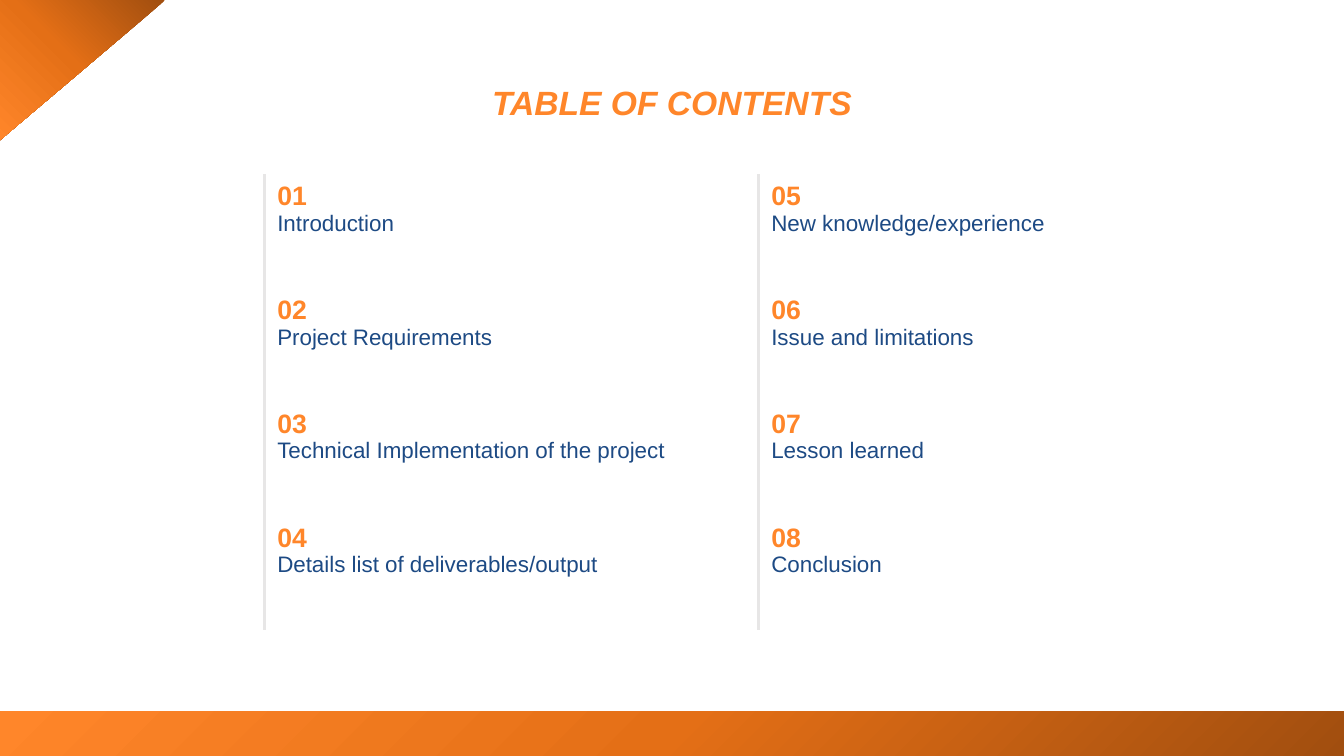
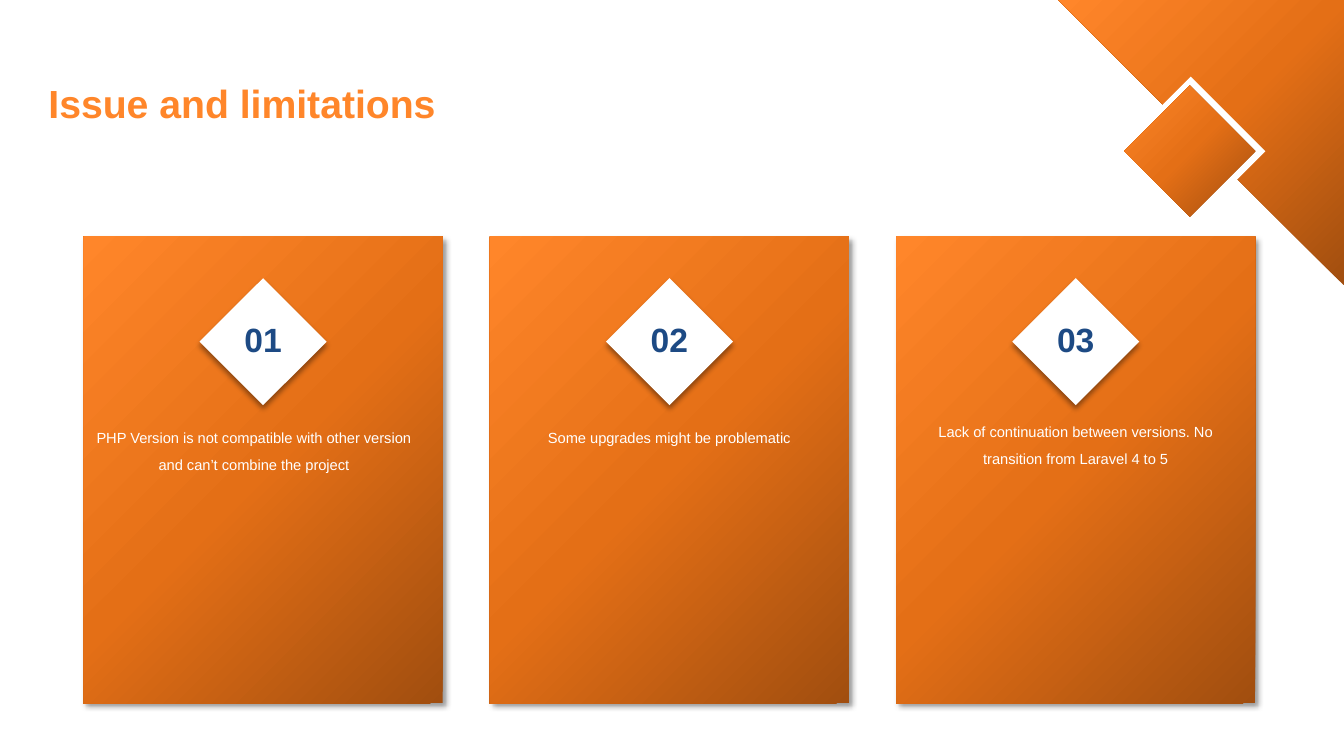
from dataclasses import dataclass
from typing import Optional, Sequence

from lxml import etree
from pptx import Presentation
from pptx.dml.color import RGBColor
from pptx.enum.shapes import MSO_SHAPE
from pptx.enum.text import MSO_ANCHOR, MSO_AUTO_SIZE, PP_ALIGN
from pptx.oxml.ns import qn
from pptx.util import Inches, Pt

RECTANGLE, DIAMOND = MSO_SHAPE.RECTANGLE, MSO_SHAPE.DIAMOND
LEFT, CENTER = PP_ALIGN.LEFT, PP_ALIGN.CENTER
MIDDLE = MSO_ANCHOR.MIDDLE
NO_AUTOFIT = MSO_AUTO_SIZE.NONE
TITLE_ONLY = 5
PLAIN_TABLE_STYLE = "{2D5ABB26-0587-4C30-8999-92F81FD0307C}"


@dataclass(frozen=True)
class Theme:
    font: str = "Arial"
    orange: str = "FF862A"
    navy: str = "1D4A84"
    white: str = "FFFFFF"
    rule: str = "E7E6E6"
    shadow: str = "000000"
    gradient: tuple = ((0, "A14E0F"), (50, "E46F16"), (100, "FF862A"))
    to_top_left: int = 135
    to_bottom_left: int = 225
    contents_title_size: float = 24
    title_size: float = 28
    badge_size: float = 24
    entry_number_size: float = 19
    entry_size: float = 16
    body_size: float = 10.5


@dataclass(frozen=True)
class Box:
    left: float
    top: float
    width: float
    height: float

    def lengths(self) -> tuple:
        return tuple(Inches(value) for value in (self.left, self.top, self.width, self.height))


@dataclass(frozen=True)
class Issue:
    text: str
    body_left: float
    body_top: float


THEME = Theme()
SLIDE_WIDTH, SLIDE_HEIGHT = 13.33, 7.5

CONTENTS = (
    ("Introduction", "New knowledge/experience"),
    ("Project Requirements", "Issue and limitations"),
    ("Technical Implementation of the project", "Lesson learned"),
    ("Details list of deliverables/output", "Conclusion"),
)

ISSUES = (
    Issue("PHP Version is not compatible with other version and can’t combine the project", 0.85, 4.12),
    Issue("Some upgrades might be problematic", 4.97, 4.12),
    Issue("Lack of continuation between versions. No transition from Laravel 4 to 5", 9, 4.06),
)


def style_paragraph(paragraph, size: float, color: str, bold: bool = False, italic: bool = False,
                    alignment=LEFT, line_spacing: Optional[float] = None) -> None:
    paragraph.alignment = alignment
    if line_spacing:
        paragraph.line_spacing = line_spacing
    font = paragraph.font
    font.name, font.size = THEME.font, Pt(size)
    font.bold, font.italic = bold, italic
    font.color.rgb = RGBColor.from_string(color)


def add_color(parent, color: str):
    return etree.SubElement(parent, qn("a:srgbClr"), val=color)


def fill_shape(shape, color: Optional[str] = None, angle: int = THEME.to_top_left) -> None:
    """Fill with one colour, or with the theme gradient when none is given."""
    shape.shadow.inherit = False
    shape.line.fill.background()
    if color:
        shape.fill.solid()
        shape.fill.fore_color.rgb = RGBColor.from_string(color)
        return
    shape.fill.gradient()
    shape.fill.gradient_angle = angle
    stops = shape._element.spPr.find(".//" + qn("a:gsLst"))
    for stop in list(stops):
        stops.remove(stop)
    for position, stop_color in THEME.gradient:
        add_color(etree.SubElement(stops, qn("a:gs"), pos=str(position * 1000)), stop_color)


def add_shadow(shape, direction: int) -> None:
    effects = shape._element.spPr.find(qn("a:effectLst"))
    shadow = etree.SubElement(effects, qn("a:outerShdw"), blurRad=str(Pt(4)), dist=str(Pt(3)),
                              dir=str(direction * 60000), algn="ctr", rotWithShape="0")
    etree.SubElement(add_color(shadow, THEME.shadow), qn("a:alpha"), val="40000")


def add_filled_shape(slide, kind, box: Box, color: Optional[str] = None):
    shape = slide.shapes.add_shape(kind, *box.lengths())
    fill_shape(shape, color)
    return shape


def add_diamond(slide, center_x: float, center_y: float, size: float, color: Optional[str] = None):
    box = Box(center_x - size / 2, center_y - size / 2, size, size)
    return add_filled_shape(slide, DIAMOND, box, color)


def add_corner(slide, points: Sequence[tuple], angle: int) -> None:
    vertices = [(Inches(x), Inches(y)) for x, y in points]
    builder = slide.shapes.build_freeform(*vertices[0])
    builder.add_line_segments(vertices[1:], close=True)
    fill_shape(builder.convert_to_shape(), angle=angle)


def add_title(slide, text: str, box: Box, size: float, italic: bool = False, alignment=LEFT) -> None:
    title = slide.shapes.title
    title.left, title.top, title.width, title.height = box.lengths()
    frame = title.text_frame
    frame.text = text
    frame.auto_size = NO_AUTOFIT
    frame.vertical_anchor = MIDDLE
    style_paragraph(frame.paragraphs[0], size, THEME.orange, True, italic, alignment, 0.9)


def add_left_border(cell) -> None:
    properties = cell._tc.get_or_add_tcPr()
    border = etree.Element(qn("a:lnL"), w=str(Pt(2.25)))
    add_color(etree.SubElement(border, qn("a:solidFill")), THEME.rule)
    properties.insert(0, border)


def fill_entry(cell, number: int, text: str) -> None:
    cell.margin_left = cell.margin_right = Inches(0.13)
    cell.margin_top = cell.margin_bottom = Inches(0.07)
    cell.fill.background()
    add_left_border(cell)
    frame = cell.text_frame
    frame.text = f"{number:02}\n{text}"
    heading, label = frame.paragraphs
    style_paragraph(heading, THEME.entry_number_size, THEME.orange, bold=True)
    style_paragraph(label, THEME.entry_size, THEME.navy)


def add_contents_table(slide, box: Box) -> None:
    row_count, column_count = len(CONTENTS), len(CONTENTS[0])
    table = slide.shapes.add_table(row_count, column_count, *box.lengths()).table
    table.first_row = table.horz_banding = False
    table._tbl.tblPr.find(qn("a:tableStyleId")).text = PLAIN_TABLE_STYLE
    for row, entries in enumerate(CONTENTS):
        for column, text in enumerate(entries):
            fill_entry(table.cell(row, column), column * row_count + row + 1, text)


def add_issue_card(slide, number: int, issue: Issue) -> None:
    width, pitch = 3.56, 4.03
    box = Box(0.83 + (number - 1) * pitch, 2.35, width, 4.63)
    add_shadow(add_filled_shape(slide, RECTANGLE, box), 45)

    badge = add_diamond(slide, box.left + width / 2, 3.39, 1.26, THEME.white)
    add_shadow(badge, 90)
    frame = badge.text_frame
    frame.margin_left = frame.margin_right = frame.margin_top = 0
    frame.margin_bottom = Inches(0.06)
    frame.vertical_anchor = MIDDLE
    frame.word_wrap = False
    frame.text = f"{number:02}"
    style_paragraph(frame.paragraphs[0], THEME.badge_size, THEME.navy, bold=True, alignment=CENTER)

    body_box = Box(issue.body_left, issue.body_top, 3.34, 0.6)
    body = slide.shapes.add_textbox(*body_box.lengths()).text_frame
    body.word_wrap = True
    body.text = issue.text
    style_paragraph(body.paragraphs[0], THEME.body_size, THEME.white,
                    alignment=CENTER, line_spacing=1.5)


def build_contents_slide(slide) -> None:
    band_height = 0.44
    add_filled_shape(slide, RECTANGLE, Box(0, SLIDE_HEIGHT - band_height, SLIDE_WIDTH, band_height))
    add_contents_table(slide, Box(2.62, 1.73, 9.8, 4.52))
    add_title(slide, "TABLE OF CONTENTS", Box(4.15, 0.68, 5.03, 0.71),
              THEME.contents_title_size, italic=True, alignment=CENTER)
    add_corner(slide, ((0, 1.39), (1.64, 0), (0, 0)), THEME.to_bottom_left)


def build_issues_slide(slide) -> None:
    add_title(slide, "Issue and limitations", Box(0.38, 0.76, 6, 0.57), THEME.title_size)
    for number, issue in enumerate(ISSUES, start=1):
        add_issue_card(slide, number, issue)
    add_corner(slide, ((10.5, 0), (SLIDE_WIDTH, 2.83), (SLIDE_WIDTH, 0)), THEME.to_top_left)
    add_diamond(slide, 11.81, 1.5, 1.48, THEME.white)
    add_diamond(slide, 11.8, 1.5, 1.3)


def main() -> None:
    presentation = Presentation()
    presentation.slide_width = Inches(SLIDE_WIDTH)
    presentation.slide_height = Inches(SLIDE_HEIGHT)
    for build in (build_contents_slide, build_issues_slide):
        build(presentation.slides.add_slide(presentation.slide_layouts[TITLE_ONLY]))
    presentation.save("out.pptx")


if __name__ == "__main__":
    main()
